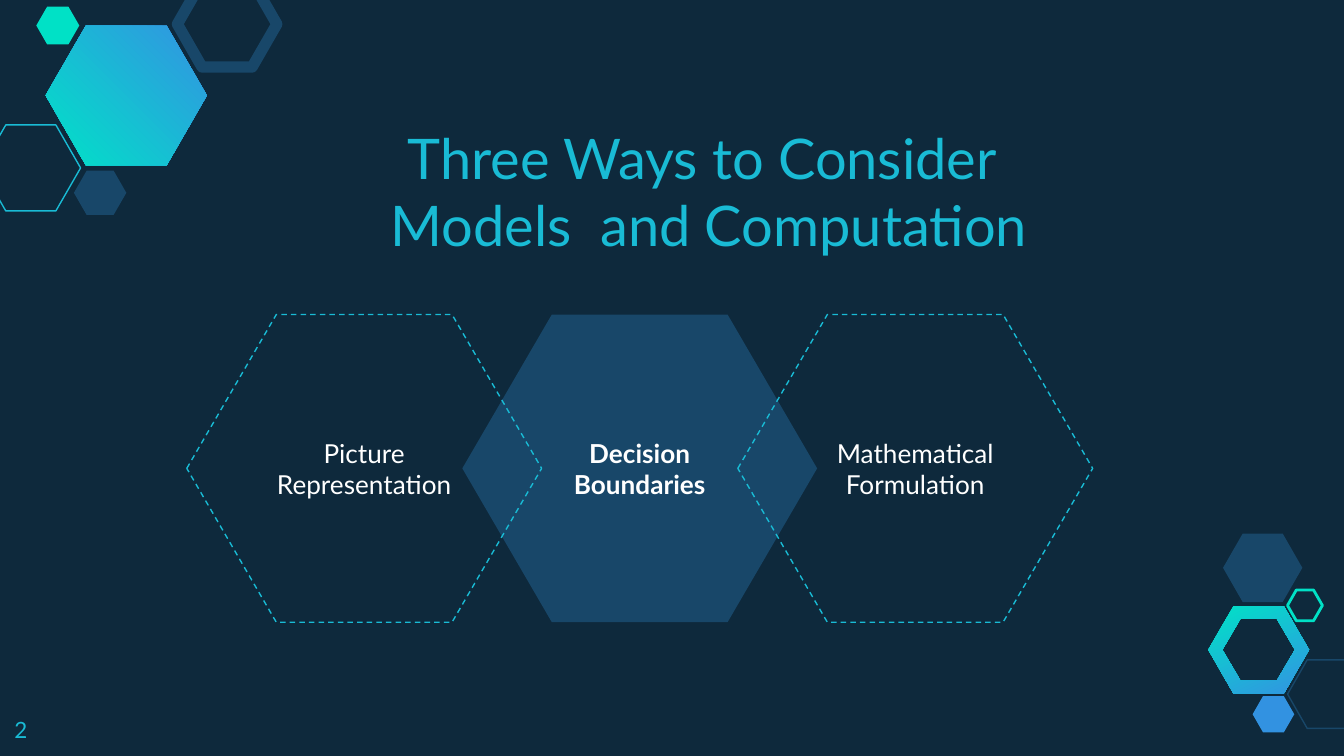
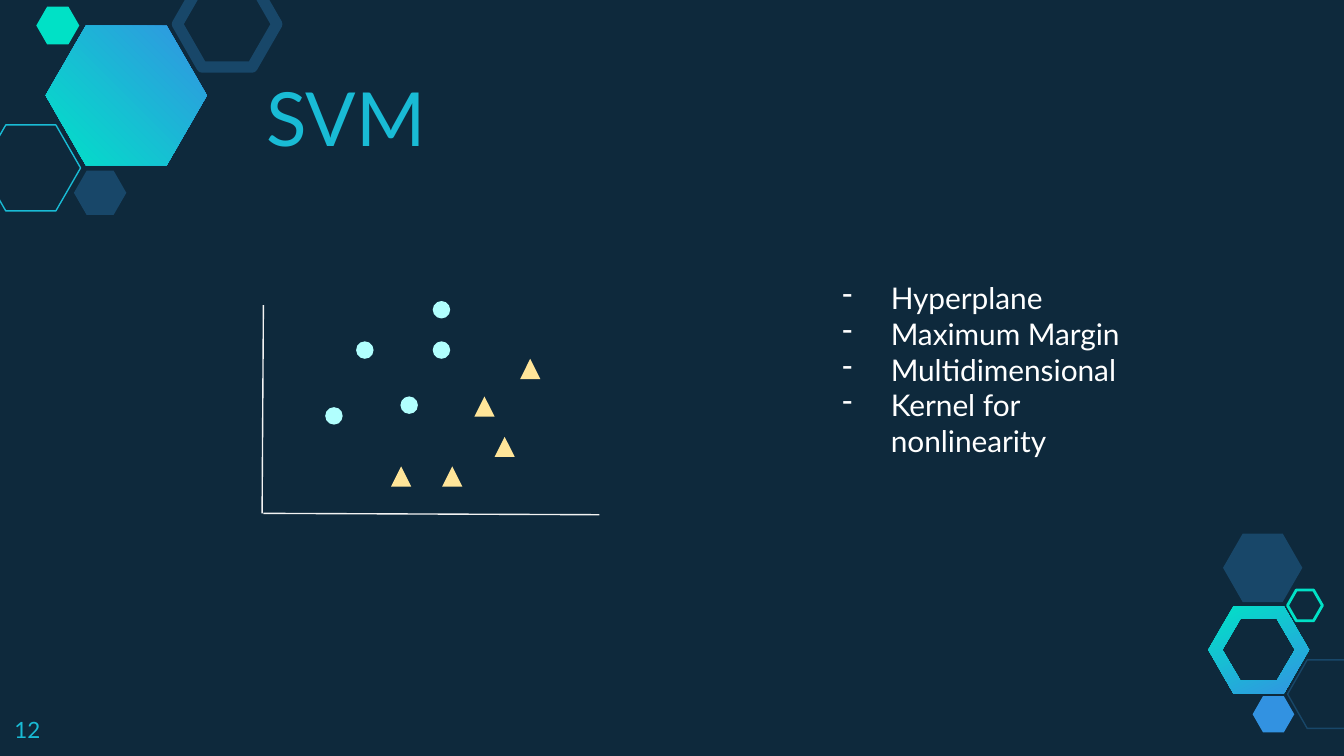
from dataclasses import dataclass

from lxml import etree
from pptx import Presentation
from pptx import util as u
from pptx.dml.color import RGBColor
from pptx.enum import dml, shapes, text
from pptx.oxml.ns import qn


@dataclass(frozen=True)
class Theme:
    font: str = "Lato"
    ground: str = "0E293C"
    navy: str = "184769"
    cyan: str = "19BBD5"
    mint: str = "00E1C6"
    blue: str = "3292E1"
    grad_blue: str = "3393E2"
    grad_mint: str = "00E2C7"
    white: str = "FFFFFF"
    axis: str = "F3F3F3"
    dot: str = "B1FFFE"
    triangle: str = "FFE599"
    title: int = 40
    long_title: int = 30
    body: int = 16
    label: int = 14
    number: int = 12
    thin: float = 0.75
    margin: float = 0.1


T = Theme()
SHAPE = shapes.MSO_SHAPE
ALIGN = text.PP_ALIGN
ANCHOR = text.MSO_ANCHOR

CORNER_HEXAGONS = [
    ((-0.14, 0.93, 0.74, 0.64), {"line": T.cyan}),
    ((0.55, 1.27, 0.39, 0.33), {"fill": T.navy}),
    ((1.32, -0.14, 0.74, 0.64), {"line": T.navy, "weight": 6}),
    ((0.27, 0.05, 0.32, 0.28), {"fill": T.mint}),
    ((9.58, 4.91, 0.59, 0.51), {"line": T.navy}),
    ((9.32, 5.18, 0.31, 0.27), {"fill": T.blue}),
    ((9.1, 3.97, 0.59, 0.51), {"fill": T.navy}),
    ((9.58, 4.39, 0.26, 0.23), {"line": T.mint, "weight": 1.5}),
]
DOTS = [(3.22, 2.54), (2.42, 3.03), (2.65, 2.54), (2.98, 2.95), (3.22, 2.24)]
TRIANGLES = [(3.53, 2.95), (3.87, 2.67), (2.91, 3.47), (3.29, 3.47), (3.68, 3.25)]


def rgb(color):
    return RGBColor.from_string(color)


def inches(values):
    return [u.Inches(v) for v in values]


def set_attrs(obj, values):
    for name, value in values.items():
        setattr(obj, name, value)


def write(tf, lines, size, color, bold=False, align=ALIGN.LEFT, anchor=ANCHOR.TOP):
    margins = {f"margin_{side}": u.Inches(T.margin)
               for side in ("left", "right", "top", "bottom")}
    set_attrs(tf, {"word_wrap": True, "auto_size": text.MSO_AUTO_SIZE.NONE,
                   "vertical_anchor": anchor, **margins})
    for i, line in enumerate(lines):
        p = tf.add_paragraph() if i else tf.paragraphs[0]
        p.alignment = align
        r = p.add_run()
        r.text = line
        set_attrs(r.font, {"name": T.font, "size": u.Pt(size), "bold": bold})
        r.font.color.rgb = rgb(color)


def add_shape(slide, kind, box, fill=None, line=None, weight=T.thin, dash=None):
    sp = slide.shapes.add_shape(kind, *inches(box))
    sp.shadow.inherit = False
    if fill:
        sp.fill.solid()
        sp.fill.fore_color.rgb = rgb(fill)
    else:
        sp.fill.background()
    if line:
        sp.line.color.rgb = rgb(line)
        set_attrs(sp.line, {"width": u.Pt(weight), "dash_style": dash})
    else:
        sp.line.fill.background()
    return sp


def add_hexagon(slide, box, adj=0.287, **style):
    sp = add_shape(slide, SHAPE.HEXAGON, box, **style)
    sp.adjustments[0] = adj
    return sp


def hexagon_points(center, size):
    (cx, cy), (w, h) = center, size
    steps = [(-2, 0), (-1, -1), (1, -1), (2, 0), (1, 1), (-1, 1)]
    return [tuple(inches((cx + x * w / 4, cy + y * h / 2))) for x, y in steps]


def add_gradient_hexagon(slide, center, size, stops, angle, hole=None):
    first, *rest = hexagon_points(center, size)
    builder = slide.shapes.build_freeform(*first, scale=1.0)
    builder.add_line_segments(rest, close=True)
    if hole:
        first, *rest = reversed(hexagon_points(center, hole))
        builder.move_to(*first)
        builder.add_line_segments(rest, close=True)
    sp = builder.convert_to_shape()
    sp.shadow.inherit = False
    sp.line.fill.background()
    sp.fill.gradient()
    sp.fill.gradient_angle = angle
    for stop, color, position in zip(sp.fill.gradient_stops, stops, (0, 1)):
        stop.color.rgb = rgb(color)
        stop.position = position
    return sp


def add_line(slide, start, end):
    sp = slide.shapes.add_connector(shapes.MSO_CONNECTOR.STRAIGHT,
                                    *inches(start + end))
    sp.line.color.rgb = rgb(T.axis)
    sp.line.width = u.Pt(T.thin)
    etree.SubElement(sp.element.spPr, qn("a:effectLst"))


def add_text(slide, box, lines, size, color):
    sp = slide.shapes.add_textbox(*inches(box))
    write(sp.text_frame, lines, size, color)
    return sp.text_frame


def add_bullets(slide, box, lines):
    tf = add_text(slide, box, lines, T.body, T.white)
    for p in tf.paragraphs:
        pPr = p._p.get_or_add_pPr()
        pPr.set("marL", str(u.Inches(0.5)))
        pPr.set("indent", str(u.Inches(-0.36)))
        color = etree.SubElement(pPr, qn("a:buClr"))
        etree.SubElement(color, qn("a:srgbClr"), val=T.white)
        etree.SubElement(pPr, qn("a:buChar"), char="-")


def decorate_layout(layout, slide):
    for ph in list(layout.placeholders):
        if ph.placeholder_format.type != shapes.PP_PLACEHOLDER.TITLE:
            ph.element.getparent().remove(ph.element)
    decor = [
        add_gradient_hexagon(slide, (9.365, 4.835), (0.75, 0.65),
                             (T.grad_mint, T.grad_blue), 296, hole=(0.54, 0.46)),
        add_gradient_hexagon(slide, (0.94, 0.71), (1.2, 1.04),
                             (T.grad_blue, T.grad_mint), 225),
    ]
    decor += [add_hexagon(slide, box, **style) for box, style in CORNER_HEXAGONS]
    for sp in decor:
        layout.element.cSld.spTree.append(sp.element)


def add_title(slide, box, lines, size, align=ALIGN.LEFT):
    title = slide.shapes.title
    set_attrs(title, dict(zip(("left", "top", "width", "height"), inches(box))))
    write(title.text_frame, lines, size, T.cyan, align=align, anchor=ANCHOR.BOTTOM)


def add_number(slide, number):
    add_text(slide, (0.01, 5.23, 0.6, 0.39), [number], T.number, T.cyan)


def fill_ways_slide(slide):
    add_title(slide, (1.74, 1.31, 7.07, 0.71),
              ["Three Ways to Consider ", "Models  and Computation"],
              T.long_title, ALIGN.CENTER)
    outlined = {"line": T.cyan, "dash": dml.MSO_LINE.DASH}
    ways = [
        (1, "Decision Boundaries", True, {"fill": T.navy}),
        (0, "Picture Representation", False, outlined),
        (2, "Mathematical Formulation", False, outlined),
    ]
    for column, label, bold, style in ways:
        box = (1.39 + 2.05 * column, 2.34, 2.64, 2.29)
        sp = add_hexagon(slide, box, adj=0.291, **style)
        write(sp.text_frame, [label], T.label, T.white, bold,
              ALIGN.CENTER, ANCHOR.MIDDLE)
    add_number(slide, "2")


def fill_svm_slide(slide):
    add_title(slide, (1.88, 0.39, 7.78, 0.91), ["SVM"], T.title)
    add_line(slide, (1.96, 2.27), (1.95, 3.82))
    add_line(slide, (4.46, 3.83), (1.96, 3.82))
    groups = [(SHAPE.OVAL, DOTS, 0.13, T.dot),
              (SHAPE.ISOSCELES_TRIANGLE, TRIANGLES, 0.15, T.triangle)]
    for kind, points, size, color in groups:
        for point in points:
            add_shape(slide, kind, (*point, size, size), fill=color)
    add_bullets(slide, (6.03, 1.98, 2.57, 0.39),
                ["Hyperplane", "Maximum Margin", "Multidimensional",
                 "Kernel for nonlinearity"])
    add_number(slide, "12")


def main():
    prs = Presentation()
    set_attrs(prs, {"slide_width": u.Inches(10), "slide_height": u.Inches(5.625)})
    ground = prs.slide_master.background.fill
    ground.solid()
    ground.fore_color.rgb = rgb(T.ground)
    layout = prs.slide_layouts[5]
    ways, svm = (prs.slides.add_slide(layout) for _ in range(2))
    decorate_layout(layout, ways)
    fill_ways_slide(ways)
    fill_svm_slide(svm)
    prs.save("out.pptx")


if __name__ == "__main__":
    main()
